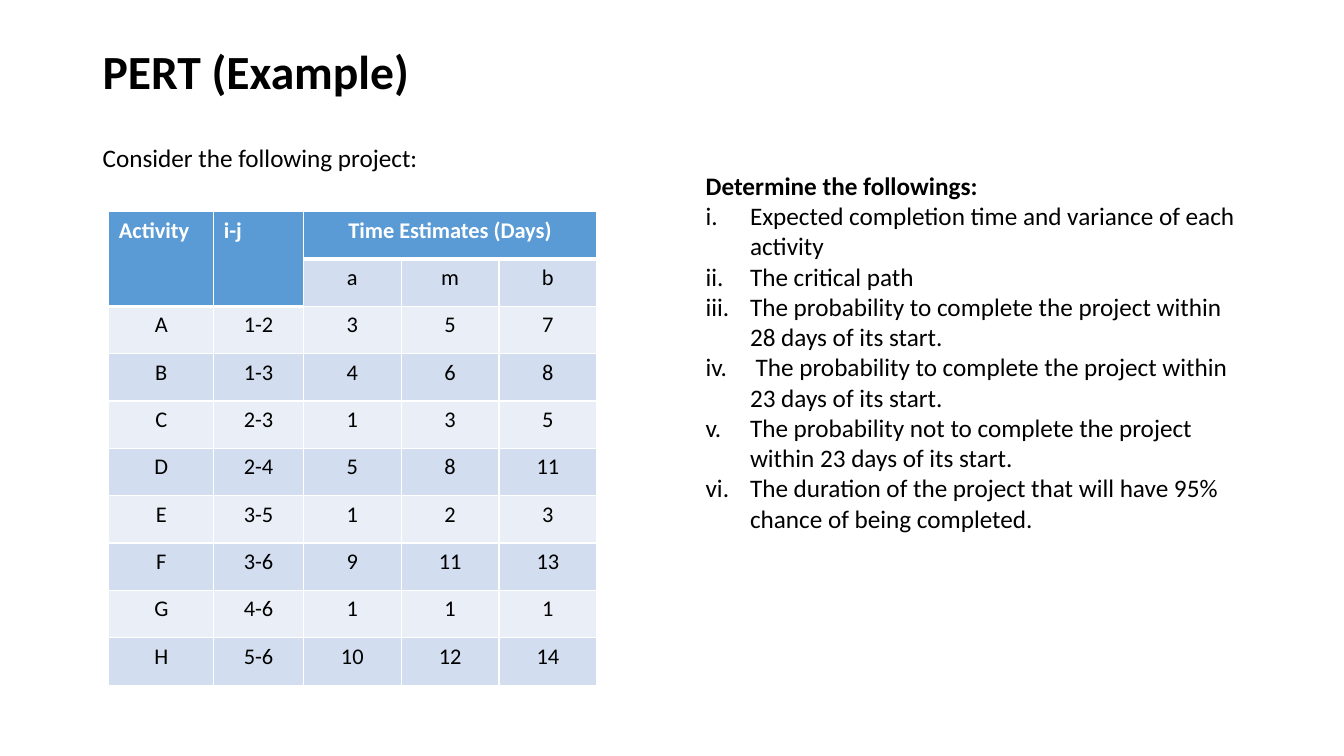
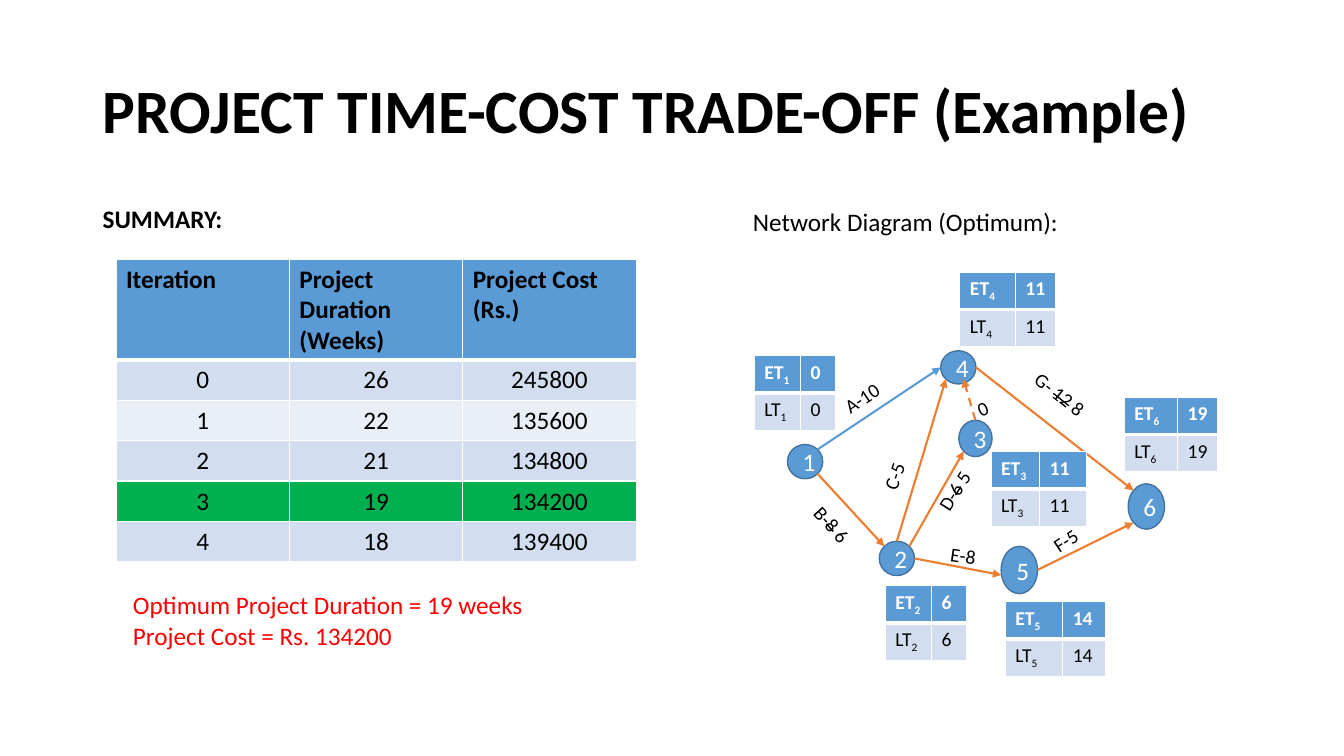
from math import sqrt

from pptx import Presentation
from pptx.dml.color import RGBColor
from pptx.enum.dml import MSO_LINE
from pptx.enum.shapes import MSO_CONNECTOR, MSO_SHAPE
from pptx.enum.text import MSO_ANCHOR, PP_ALIGN
from pptx.oxml.ns import qn
from pptx.util import Pt
from lxml.etree import SubElement

PX = 9144  # 100 px to the inch
FONT = "Calibri"
BLACK = RGBColor(0x00, 0x00, 0x00)
WHITE = RGBColor(0xFF, 0xFF, 0xFF)
RED = RGBColor(0xFF, 0x00, 0x00)
BLUE = RGBColor(0x5B, 0x9B, 0xD5)
DARK_BLUE = RGBColor(0x43, 0x73, 0x9E)
ORANGE = RGBColor(0xED, 0x7D, 0x31)
GREEN = RGBColor(0x00, 0xB0, 0x50)
BANDS = (RGBColor(0xEA, 0xEF, 0xF7), RGBColor(0xD2, 0xDE, 0xEF))

MARKS = {"strike": ("strike", "sngStrike"), "sub": ("baseline", "-25000")}
DIAGONAL = sqrt(0.5)
COMPASS = {
    "N": (0, -1), "E": (1, 0), "S": (0, 1), "W": (-1, 0),
    "NE": (DIAGONAL, -DIAGONAL), "SE": (DIAGONAL, DIAGONAL),
    "SW": (-DIAGONAL, DIAGONAL), "NW": (-DIAGONAL, -DIAGONAL),
}

ESTIMATES = [
    ["Activity", "i-j", "Time Estimates (Days)", "", ""],
    ["", "", "a", "m", "b"],
    ["A", "1-2", "3", "5", "7"],
    ["B", "1-3", "4", "6", "8"],
    ["C", "2-3", "1", "3", "5"],
    ["D", "2-4", "5", "8", "11"],
    ["E", "3-5", "1", "2", "3"],
    ["F", "3-6", "9", "11", "13"],
    ["G", "4-6", "1", "1", "1"],
    ["H", "5-6", "10", "12", "14"],
]
QUESTIONS = [
    "Expected completion time and variance of each activity",
    "The critical path",
    "The probability to complete the project within 28 days of its start.",
    " The probability to complete the project within 23 days of its start.",
    "The probability not to complete the project within 23 days of its start.",
    "The duration of the project that will have 95% chance of being completed.",
]
ITERATIONS = [
    ["Iteration", "Project Duration (Weeks)", "Project Cost (Rs.)"],
    ["0", "26", "245800"],
    ["1", "22", "135600"],
    ["2", "21", "134800"],
    ["3", "19", "134200"],
    ["4", "18", "139400"],
]
OPTIMUM_ROW = 4

EVENTS = {
    "1": (781, 441, 35, 34),
    "2": (872, 537, 35, 34),
    "3": (951, 417, 33, 36),
    "4": (933, 348, 35, 33),
    "5": (993, 542, 36, 47),
    "6": (1119, 480, 36, 45),
}
# start event, side, end event, side, shift of the end, colour, dashed
ACTIVITIES = [
    ("1", "NE", "4", "W", (0, 0), BLUE, False),
    ("1", "SE", "2", "NW", (0, 0), ORANGE, False),
    ("2", "N", "4", "SW", (0, 0), ORANGE, False),
    ("2", "NE", "3", "SW", (0, 0), ORANGE, False),
    ("3", "N", "4", "S", (5, -5), ORANGE, True),
    ("2", "E", "5", "W", (0, 5), ORANGE, False),
    ("4", "E", "6", "NW", (0, 0), ORANGE, False),
    ("5", "E", "6", "SW", (0, 0), ORANGE, False),
]
# left, top, width, rotation, text
ACTIVITY_LABELS = [
    (826, 376, 64, 326.4, "A-10"),
    (794, 505, 64, 47.9, ["B-", ("8", "strike"), " 6"]),
    (858, 447, 64, 289.4, "C-5"),
    (912, 463, 78, 302, ["D-", ("6", "strike"), " 5"]),
    (933, 536, 64, 8.2, "E-8"),
    (1012, 377, 85, 38.6, ["G- ", ("12", "strike"), " 8"]),
    (1033, 514, 64, 326.4, "F-5"),
    (960, 389, 25, 336.2, "0"),
]
# event, left, top, column widths, earliest and latest time
EVENT_TIMES = [
    ("4", 952, 270, (55, 40), "11"),
    ("3", 983, 448, (48, 47), "11"),
    ("6", 1115, 394, (53, 40), "19"),
    ("5", 997, 597, (57, 43), "14"),
    ("2", 878, 581, (46, 35), "6"),
    ("1", 748, 353, (46, 35), "0"),
]


def px(*lengths):
    return [round(length * PX) for length in lengths]


def write(paragraph, parts, size, color=BLACK, bold=False):
    """Add runs; parts is a string or a list of strings and (text, mark) pairs."""
    for part in [parts] if isinstance(parts, str) else parts:
        text, mark = (part, None) if isinstance(part, str) else part
        run = paragraph.add_run()
        run.text = text
        run.font.name, run.font.size, run.font.bold = FONT, Pt(size), bold
        run.font.color.rgb = color
        if mark:
            run._r.get_or_add_rPr().set(*MARKS[mark])


def add_text(slide, box, lines, size=18, color=BLACK, bold=False,
             spacing=None, anchor=MSO_ANCHOR.TOP, rotation=0):
    label = slide.shapes.add_textbox(*px(*box))
    label.rotation = rotation
    frame = label.text_frame
    frame.word_wrap = True
    frame.vertical_anchor = anchor
    for index, line in enumerate(lines):
        paragraph = frame.add_paragraph() if index else frame.paragraphs[0]
        if spacing:
            paragraph.line_spacing = spacing
        write(paragraph, line, size, color, bold)
    return frame


def add_title(slide, box, text, size):
    add_text(slide, box, [text], size, bold=True, spacing=0.9, anchor=MSO_ANCHOR.MIDDLE)


def add_roman_list(frame, items, indent=44):
    for item in items:
        paragraph = frame.add_paragraph()
        properties = paragraph._p.get_or_add_pPr()
        properties.set("marL", str(indent * PX))
        properties.set("indent", str(-indent * PX))
        SubElement(properties, qn("a:buFont"), typeface="+mj-lt")
        SubElement(properties, qn("a:buAutoNum"), type="romanLcPeriod")
        write(paragraph, item, 18)


def set_borders(cell, top, bottom):
    """Draw white borders; top and bottom are widths in points."""
    properties = cell._tc.get_or_add_tcPr()
    for side, width in (("L", 1), ("R", 1), ("T", top), ("B", bottom)):
        border = SubElement(properties, qn(f"a:ln{side}"), w=str(Pt(width)))
        fill = SubElement(border, qn("a:solidFill"))
        SubElement(fill, qn("a:srgbClr"), val=str(WHITE))


def add_table(slide, left, top, widths, heights, rows, size, header_color=WHITE,
              align=PP_ALIGN.CENTER, merges=(), highlight=None):
    """Add a banded table; merges lists the corner cells of each merged block."""
    box = px(left, top, sum(widths), sum(heights))
    table = slide.shapes.add_table(len(rows), len(widths), *box).table
    for column, width in zip(table.columns, px(*widths)):
        column.width = width
    for row, height in zip(table.rows, px(*heights)):
        row.height = height
    for first, last in merges:
        table.cell(*first).merge(table.cell(*last))

    def is_header(r, c):
        return r == 0 or table.cell(r, c).is_spanned

    for r, texts in enumerate(rows):
        for c, text in enumerate(texts):
            cell = table.cell(r, c)
            header = is_header(r, c)
            below_header = r > 0 and is_header(r - 1, c)
            set_borders(cell, 3 if below_header else 1, 3 if header else 1)
            cell.fill.solid()
            band = GREEN if r == highlight else BANDS[r % 2]
            cell.fill.fore_color.rgb = BLUE if header else band
            if not text:
                continue
            paragraph = cell.text_frame.paragraphs[0]
            wide = cell.is_merge_origin and cell.span_width > 1
            paragraph.alignment = PP_ALIGN.CENTER if wide else PP_ALIGN.LEFT if header else align
            write(paragraph, text, size, header_color if header else BLACK, header)


def add_event(slide, number, box):
    circle = slide.shapes.add_shape(MSO_SHAPE.OVAL, *px(*box))
    circle.shadow.inherit = False
    circle.fill.solid()
    circle.fill.fore_color.rgb = BLUE
    circle.line.color.rgb = DARK_BLUE
    circle.line.width = Pt(1)
    circle.text_frame.vertical_anchor = MSO_ANCHOR.MIDDLE
    paragraph = circle.text_frame.paragraphs[0]
    paragraph.alignment = PP_ALIGN.CENTER
    write(paragraph, number, 18, WHITE)


def rim(event, side):
    """Return the point on an event's outline in a compass direction."""
    left, top, width, height = EVENTS[event]
    dx, dy = COMPASS[side]
    return left + width / 2 * (1 + dx), top + height / 2 * (1 + dy)


def add_arrow(slide, start, end, color, dashed):
    arrow = slide.shapes.add_connector(MSO_CONNECTOR.STRAIGHT, *px(*start, *end))
    arrow.line.color.rgb = color
    arrow.line.width = Pt(1.5)
    if dashed:
        arrow.line.dash_style = MSO_LINE.DASH
    SubElement(arrow.line._get_or_add_ln(), qn("a:tailEnd"), type="triangle")
    SubElement(arrow._element.spPr, qn("a:effectLst"))


def add_network(slide):
    for number, box in EVENTS.items():
        add_event(slide, number, box)
    for start, start_side, end, end_side, (dx, dy), color, dashed in ACTIVITIES:
        x, y = rim(end, end_side)
        add_arrow(slide, rim(start, start_side), (x + dx, y + dy), color, dashed)
    for left, top, width, rotation, text in ACTIVITY_LABELS:
        add_text(slide, (left, top, width, 34), [text], 14, rotation=rotation)
    for number, left, top, widths, time in EVENT_TIMES:
        rows = [[[kind, (number, "sub")], time] for kind in ("ET", "LT")]
        add_table(slide, left, top, widths, (37, 37), rows, 14, align=PP_ALIGN.LEFT)


def build_pert(slide):
    add_title(slide, (92, 41, 1150, 66), "PERT (Example)", 34)
    add_text(slide, (92, 140, 512, 40), ["Consider the following project:"], spacing=0.9)
    add_table(slide, 108, 210, (104, 89, 97, 97, 97), [47] * len(ESTIMATES), ESTIMATES, 16,
              merges=[((0, 0), (1, 0)), ((0, 1), (1, 1)), ((0, 2), (0, 4))])
    tasks = add_text(slide, (690, 164, 552, 374), ["Determine the followings:"], bold=True)
    add_roman_list(tasks, QUESTIONS)


def build_trade_off(slide):
    add_title(slide, (92, 40, 1150, 145), "PROJECT TIME-COST TRADE-OFF (Example)", 44)
    add_text(slide, (92, 200, 627, 40), ["SUMMARY:"], bold=True, spacing=0.9)
    add_text(slide, (737, 200, 526, 40), ["Network Diagram (Optimum):"])
    add_network(slide)
    add_table(slide, 115, 257, [172] * 3, [100] + [40] * 5, ITERATIONS, 18,
              header_color=BLACK, highlight=OPTIMUM_ROW)
    add_text(slide, (122, 580, 432, 71),
             ["Optimum Project Duration = 19 weeks", "Project Cost = Rs. 134200"], color=RED)


def main():
    deck = Presentation()
    deck.slide_width, deck.slide_height = px(1333, 750)
    blank = deck.slide_layouts[6]
    for build in (build_pert, build_trade_off):
        build(deck.slides.add_slide(blank))
    deck.save("out.pptx")


if __name__ == "__main__":
    main()
